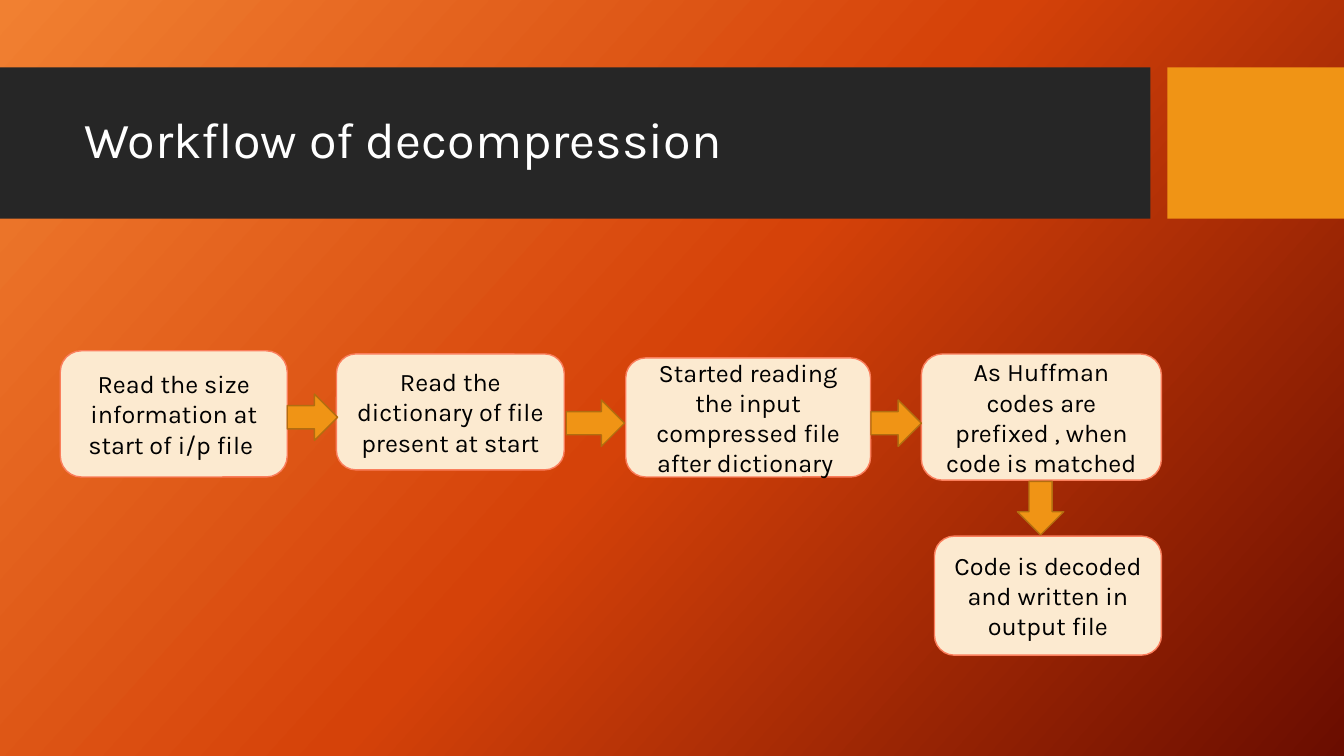
import copy
from dataclasses import dataclass

import pptx
import pptx.dml.color
import pptx.enum.shapes
import pptx.enum.text
import pptx.oxml.ns
import pptx.util

Cm = pptx.util.Cm
SHAPE = pptx.enum.shapes.MSO_SHAPE
ALIGN = pptx.enum.text.PP_ALIGN


@dataclass(frozen=True)
class Theme:
    font: str = "Karla"
    title_size: int = 36
    step_size: int = 18
    line_width: int = 1
    background: tuple = ((0, "F18031"), (0.5, "D54209"), (1, "6A0D00"))
    background_angle: int = 42
    band: str = "262626"
    accent: str = "F09415"
    arrow_line: str = "B26D10"
    step_fill: str = "FCEAD0"
    step_line: str = "FA7E5C"
    title_text: str = "FFFFFF"
    step_text: str = "000000"


theme = Theme()

# Step text and box, relative to the workflow region (cm)
STEPS = [
    ("Read the size information at start of i/p file ", (0, 0, 5.72, 3.18)),
    ("Read the dictionary of file present at start", (6.96, 0.08, 5.74, 2.92)),
    ("Started reading the input compressed file after dictionary ",
     (14.25, 0.18, 6.17, 3)),
    ("As Huffman codes are prefixed , when code is matched",
     (21.7, 0.08, 6.05, 3.18)),
    ("Code is decoded and written in output file", (22.03, 4.67, 5.72, 3)),
]
ARROWS = [
    (SHAPE.RIGHT_ARROW, (5.72, 1.09, 1.27, 1.17)),
    (SHAPE.RIGHT_ARROW, (12.75, 1.24, 1.47, 1.17)),
    (SHAPE.RIGHT_ARROW, (20.43, 1.24, 1.27, 1.17)),
    (SHAPE.DOWN_ARROW, (24.12, 3.29, 1.17, 1.35)),
]


def rgb(value):
    return pptx.dml.color.RGBColor.from_string(value)


def place(region, part):
    """Turn a part's box inside a region into slide lengths."""
    x, y = region[:2]
    left, top, width, height = part
    return Cm(x + left), Cm(y + top), Cm(width), Cm(height)


def add_block(s, kind, box, fill, line=None):
    sp = s.shapes.add_shape(kind, *box)
    sp.shadow.inherit = False
    sp.fill.solid()
    sp.fill.fore_color.rgb = rgb(fill)
    if line:
        sp.line.color.rgb = rgb(line)
        sp.line.width = pptx.util.Pt(theme.line_width)
    else:
        sp.line.fill.background()
    return sp


def write(sp, text, size, color, align):
    tf = sp.text_frame
    tf.word_wrap = True
    tf.vertical_anchor = pptx.enum.text.MSO_ANCHOR.MIDDLE
    p = tf.paragraphs[0]
    p.alignment = align
    r = p.add_run()
    r.text = text
    r.font.name = theme.font
    r.font.size = pptx.util.Pt(size)
    r.font.color.rgb = rgb(color)
    return p


def paint_background(s):
    fill = s.background.fill
    fill.gradient()
    # The default gradient has two stops; a third is needed
    stops = s.element.find(".//" + pptx.oxml.ns.qn("a:gsLst"))
    stops.append(copy.deepcopy(stops[-1]))
    for stop, (position, color) in zip(fill.gradient_stops, theme.background):
        stop.position = position
        stop.color.rgb = rgb(color)
    fill.gradient_angle = 360 - theme.background_angle


def add_header(s, region):
    width, height = region[2:]
    accent_width = 4.45
    band_width = width - accent_width - 0.43
    add_block(s, SHAPE.RECTANGLE, place(region, (0, 0, band_width, height)),
              theme.band)
    add_block(s, SHAPE.RECTANGLE,
              place(region, (width - accent_width, 0, accent_width, height)),
              theme.accent)
    title = s.shapes.add_textbox(*place(region, (1.88, 0.38, 26.7, 3)))
    p = write(title, "Workflow of decompression", theme.title_size,
              theme.title_text, ALIGN.LEFT)
    p.line_spacing = 0.9


def add_workflow(s, region):
    for text, part in STEPS:
        sp = add_block(s, SHAPE.ROUNDED_RECTANGLE, place(region, part),
                       theme.step_fill, theme.step_line)
        write(sp, text, theme.step_size, theme.step_text, ALIGN.CENTER)
    for kind, part in ARROWS:
        add_block(s, kind, place(region, part), theme.accent, theme.arrow_line)


prs = pptx.Presentation()
prs.slide_width, prs.slide_height = Cm(33.87), Cm(19.05)
s = prs.slides.add_slide(prs.slide_layouts[6])
paint_background(s)
add_header(s, (0, 1.7, 33.87, 3.81))
add_workflow(s, (1.52, 8.84, 27.75, 7.67))
prs.save("out.pptx")
